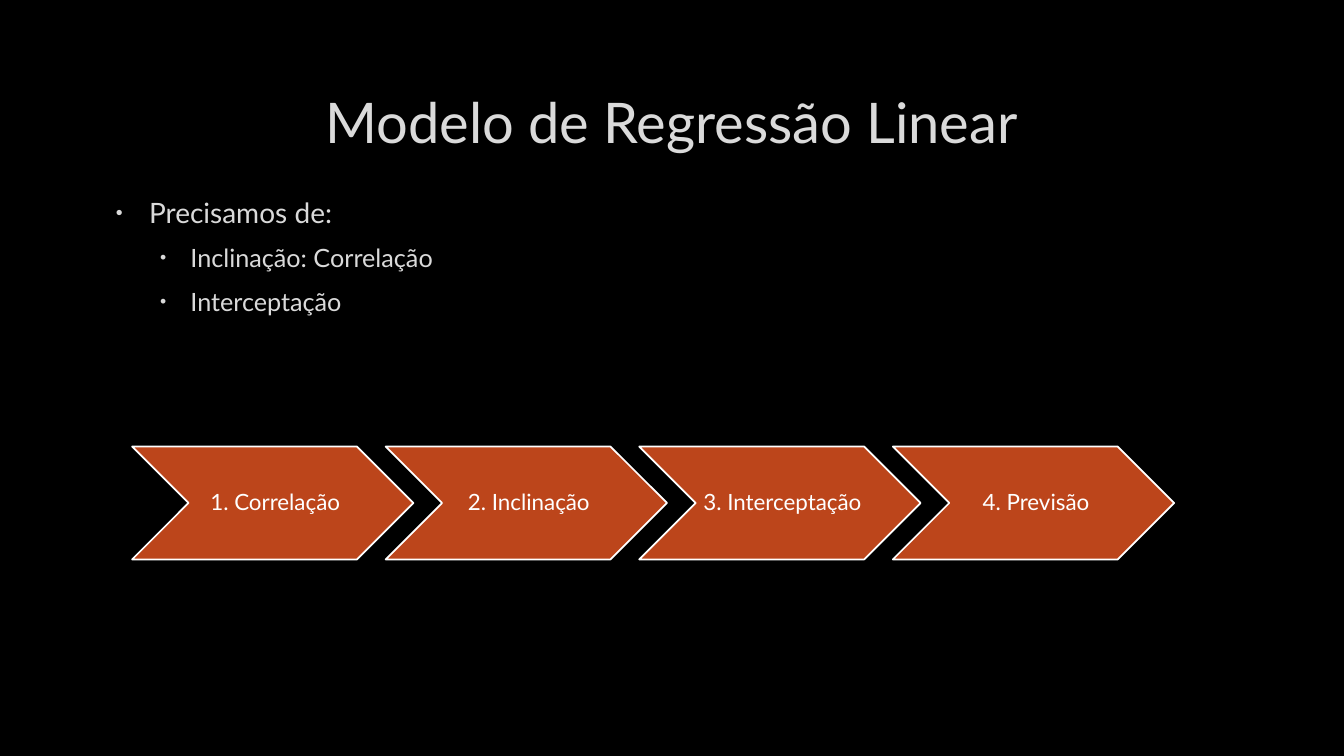
from lxml import etree
from pptx import Presentation
from pptx import util as u
from pptx.dml.color import RGBColor
from pptx.enum import shapes, text
from pptx.oxml.ns import qn

COLOURS = {"background": "000000", "text": "DADADA", "step": "BC451B", "white": "FFFFFF"}


class SlideBuilder:
    font_name = "Lato"

    def __init__(self, slide):
        self.slide = slide
        slide.background.fill.solid()
        slide.background.fill.fore_color.rgb = self.colour("background")

    def colour(self, name):
        return RGBColor.from_string(COLOURS[name])

    def style(self, paragraph, size, colour):
        paragraph.font.name = self.font_name
        paragraph.font.size = u.Pt(size)
        paragraph.font.color.rgb = self.colour(colour)

    def text_frame(self, left, top, width, height):
        box = self.slide.shapes.add_textbox(
            u.Inches(left), u.Inches(top), u.Inches(width), u.Inches(height))
        box.text_frame.word_wrap = True
        return box.text_frame

    def title(self, wording, *place):
        frame = self.text_frame(*place)
        frame.vertical_anchor = text.MSO_ANCHOR.MIDDLE
        heading = frame.paragraphs[0]
        heading.text = wording
        heading.alignment = text.PP_ALIGN.CENTER
        self.style(heading, 40, "text")

    def bullet(self, paragraph, margin, indent):
        properties = paragraph._p.get_or_add_pPr()
        properties.set("marL", str(u.Inches(margin)))
        properties.set("indent", str(u.Inches(indent)))
        colour = etree.SubElement(properties, qn("a:buClr"))
        etree.SubElement(colour, qn("a:srgbClr"), val=COLOURS["text"])
        etree.SubElement(properties, qn("a:buSzPct"), val="70000")
        etree.SubElement(properties, qn("a:buFont"), typeface="Arial")
        etree.SubElement(properties, qn("a:buChar"), char="•")

    def bullet_list(self, items, *place):
        levels = [(20, 0.38, -0.33), (18, 0.79, -0.3)]
        frame = self.text_frame(*place)
        for index, (level, wording) in enumerate(items):
            size, margin, indent = levels[level]
            item = frame.paragraphs[0] if index == 0 else frame.add_paragraph()
            item.text = wording
            item.level = level
            self.bullet(item, margin, indent)
            item.space_before = u.Pt(0.2 * size if index else 0)
            item.space_after = u.Pt(6)
            self.style(item, size, "text")

    def step(self, wording, left, top, width, height):
        chevron = self.slide.shapes.add_shape(
            shapes.MSO_SHAPE.CHEVRON,
            u.Inches(left), u.Inches(top), u.Inches(width), u.Inches(height))
        chevron.shadow.inherit = False
        chevron.fill.solid()
        chevron.fill.fore_color.rgb = self.colour("step")
        chevron.line.color.rgb = self.colour("white")
        chevron.line.width = u.Pt(1.25)
        frame = chevron.text_frame
        frame.word_wrap = False
        frame.vertical_anchor = text.MSO_ANCHOR.MIDDLE
        frame.margin_left = u.Inches(0.07)
        frame.margin_top = frame.margin_right = frame.margin_bottom = u.Inches(0.02)
        label = frame.paragraphs[0]
        label.text = wording
        label.alignment = text.PP_ALIGN.CENTER
        label.line_spacing = 0.9
        self.style(label, 16, "white")


def main():
    presentation = Presentation()
    presentation.slide_width = u.Inches(13.33)
    presentation.slide_height = u.Inches(7.5)
    builder = SlideBuilder(presentation.slides.add_slide(presentation.slide_layouts[6]))

    builder.title("Modelo de Regressão Linear", 1, 0.67, 11.32, 1.06)
    needs = [(0, "Precisamos de:"), (1, "Inclinação: Correlação"), (1, "Interceptação")]
    builder.bullet_list(needs, 1, 1.89, 11.32, 1.71)

    steps = ["Correlação", "Inclinação", "Interceptação", "Previsão"]
    first_left, pitch = 1.31, 2.515
    for index, name in enumerate(steps):
        builder.step(f"{index + 1}. {name}", first_left + index * pitch, 4.43, 2.79, 1.12)

    presentation.save("out.pptx")


if __name__ == "__main__":
    main()
